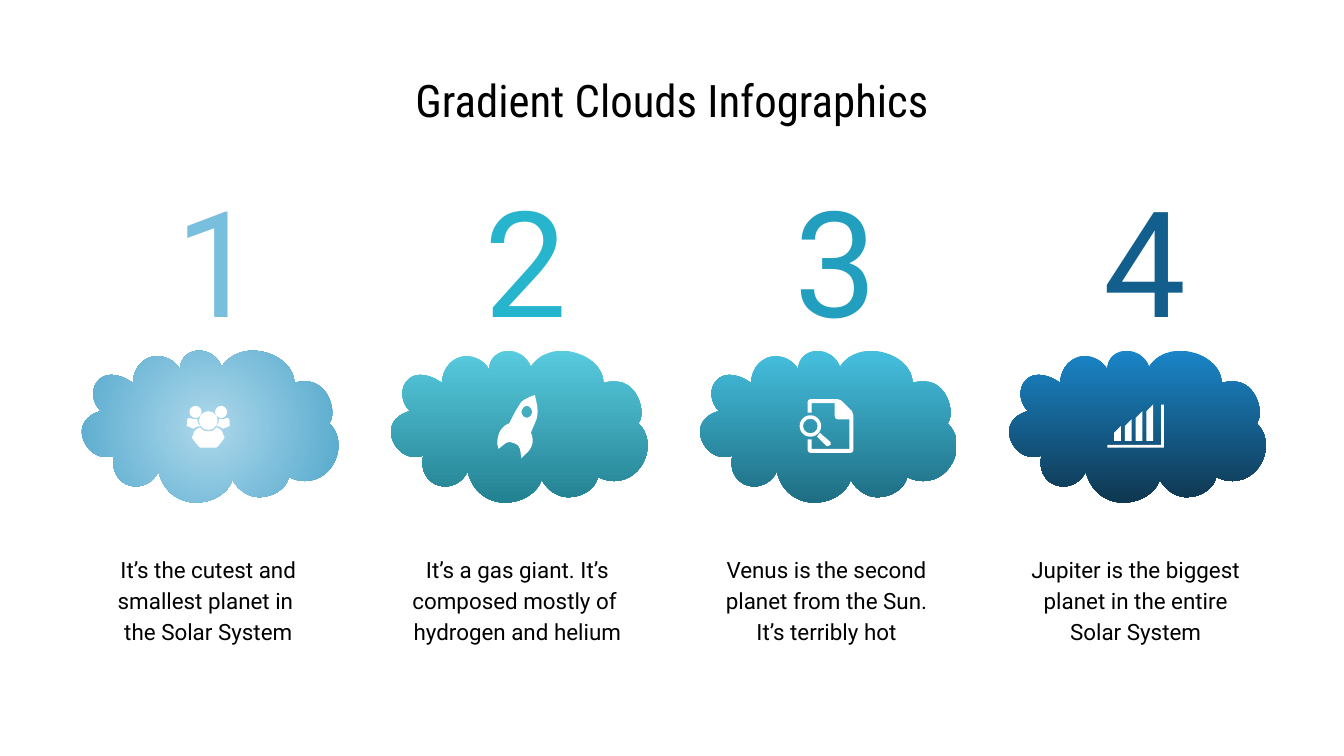
from dataclasses import dataclass

from lxml.etree import SubElement
from pptx import Presentation
from pptx.dml.color import RGBColor
from pptx.enum.shapes import MSO_SHAPE as Preset
from pptx.enum.text import MSO_ANCHOR as Anchor, PP_ALIGN as Align
from pptx.oxml.ns import qn
from pptx.util import Emu, Pt

PX = 9144  # 100 px to the inch
SLIDE_WIDTH = 1000 * PX
SLIDE_HEIGHT = SLIDE_WIDTH * 9 // 16


@dataclass(frozen=True)
class Theme:
    text: str = "000000"
    icon: str = "FFFFFF"
    title_font: str = "Roboto Condensed"
    body_font: str = "Roboto"
    title_size: int = 24
    number_size: int = 79
    body_size: int = 12


@dataclass(frozen=True)
class Box:
    left: int
    top: int
    width: int
    height: int

    def shifted(self, x: int, y: int) -> "Box":
        return Box(self.left + x, self.top + y, self.width, self.height)

    def emu(self) -> list[Emu]:
        return [Emu(v * PX) for v in (self.left, self.top, self.width, self.height)]


@dataclass(frozen=True)
class Round:
    """A round icon part: a disc or a ring."""
    box: Box
    preset: Preset = Preset.OVAL
    ring: float | None = None


@dataclass(frozen=True)
class Column:
    number: str
    color: str
    gradient: tuple[str, str]
    radial: bool
    icon: list[str | Round]
    paragraphs: list[str]


THEME = Theme()
FIRST_LEFT, COLUMN_STEP, CLOUD_TOP = 50, 230, 261

# Outlines are relative to the cloud's corner: M move, L lines, C cubic curves
CLOUD = ("M 98 0 C 91 0 84 5 84 14 80 7 73 4 67 4 58 4 49 12 49 24 43 20 38 18 33 18 "
         "19 18 15 35 25 45 0 52 13 79 28 79 30 79 33 79 35 78 32 92 41 101 51 101 "
         "57 101 64 98 68 90 72 106 84 113 96 113 108 113 120 106 123 96 "
         "128 105 136 109 143 109 153 109 163 103 165 94 169 96 173 97 177 97 "
         "199 97 210 68 195 54 201 47 195 23 178 23 175 23 172 23 169 24 "
         "169 10 153 0 138 0 129 0 120 4 115 12 112 4 105 0 98 0")
PEOPLE = [
    "M 91 50 C 89 50 89 52 89 56 L 94 58 C 95 57 97 56 99 56 98 55 97 54 97 51 95 51 93 51 91 50",
    Round(Box(91, 41, 9, 9)),
    "M 99 57 C 96 58 94 60 94 62 93 63 93 65 93 65 93 65 98 72 99 72 L 111 72 "
    "C 112 72 117 65 117 65 117 65 117 63 116 62 116 60 114 58 111 57 "
    "109 60 107 60 105 60 103 60 101 60 99 57",
    Round(Box(98, 45, 14, 14)),
    Round(Box(110, 41, 9, 9)),
    "M 119 50 C 121 50 121 52 121 56 L 116 58 C 115 57 113 56 111 56 "
    "112 55 113 54 113 51 115 51 117 51 119 50",
]
ROCKET = [
    "M 112 41 C 114 41 116 43 116 46 116 48 114 50 112 50 110 50 108 48 108 46 108 43 110 41 112 41 "
    "M 118 33 C 117 33 110 36 108 38 106 41 104 44 102 48 L 99 54 C 93 56 90 62 90 69 "
    "L 91 73 96 69 C 97 68 98 68 100 68 101 68 102 68 103 69 105 69 106 71 107 73 "
    "L 108 80 111 77 C 116 73 118 67 115 61 L 118 54 C 120 50 120 47 120 44 120 41 118 33 118 33",
]
DOCUMENT = [
    "M 93 36 C 92 36 91 37 91 38 L 91 46 94 46 94 39 111 39 111 48 C 111 50 112 51 113 51 "
    "L 122 51 122 73 94 73 94 66 91 66 91 74 C 91 75 92 76 93 76 L 123 76 "
    "C 124 76 125 75 125 74 L 125 48 C 125 47 125 46 124 45 L 117 38 C 116 37 115 36 113 36",
    Round(Box(85, 48, 16, 16), Preset.DONUT, 0.16),
    "M 100 61 L 98 64 105 71 106 71 108 70 108 68",
]
BAR_TOPS = [56, 51, 45, 40]
CHART = ["M 124 40 L 124 70 84 70 84 72 126 72 126 40"] + [
    f"M {left + 5} {top} L {left} {top + 5} {left} 67 {left + 5} 67"
    for left, top in zip(range(89, 121, 8), BAR_TOPS)
]

COLUMNS = [
    Column("1", "78BFDE", ("ADD8EB", "4BA4CA"), True, PEOPLE,
           ["It’s the cutest and smallest planet in ", "the Solar System"]),
    Column("2", "27B5CE", ("58CBDF", "238191"), False, ROCKET,
           ["It’s a gas giant. It’s composed mostly of ", "hydrogen and helium"]),
    Column("3", "229FBF", ("45BFDE", "1E6E83"), False, DOCUMENT,
           ["Venus is the second planet from the Sun. It’s terribly hot"]),
    Column("4", "125E8D", ("1A85C8", "0F3750"), False, CHART,
           ["Jupiter is the biggest planet in the entire Solar System"]),
]


def add_text(slide, box: Box, paragraphs: list[str], font: str, size: int, color: str,
             anchor: Anchor = Anchor.MIDDLE, spacing: float = 1.0) -> None:
    frame = slide.shapes.add_textbox(*box.emu()).text_frame
    inset = Emu(10 * PX)
    frame_format = {"word_wrap": True, "vertical_anchor": anchor, "margin_left": inset,
                    "margin_right": inset, "margin_top": inset, "margin_bottom": inset}
    for name, value in frame_format.items():
        setattr(frame, name, value)
    for index, text in enumerate(paragraphs):
        paragraph = frame.add_paragraph() if index else frame.paragraphs[0]
        paragraph.alignment, paragraph.line_spacing = Align.CENTER, spacing
        run = paragraph.add_run()
        run.text = text
        for name, value in {"name": font, "size": Pt(size)}.items():
            setattr(run.font, name, value)
        run.font.color.rgb = RGBColor.from_string(color)


def add_outline(slide, outline: str, left: int, top: int):
    """Build the outline from its points, then join each three points of a curve."""
    commands: list[tuple[str, list[int]]] = []
    for token in outline.split():
        if token.isalpha():
            commands.append((token, []))
        else:
            commands[-1][1].append(int(token))
    builder = None
    kinds = []
    for command, numbers in commands:
        points = list(zip(numbers[::2], numbers[1::2]))
        if command != "M":
            builder.add_line_segments(points, close=False)
            kinds += ["C"] * (len(points) // 3) if command == "C" else ["L"] * len(points)
        elif builder is None:
            builder = slide.shapes.build_freeform(*points[0], scale=PX)
        else:
            builder.add_line_segments([], close=True)
            builder.move_to(*points[0])
    builder.add_line_segments([], close=True)
    shape = builder.convert_to_shape(left * PX, top * PX)

    nodes = iter(list(shape._element.iter(qn("a:lnTo"))))
    for kind in kinds:
        node = next(nodes)
        if kind == "C":
            node.tag = qn("a:cubicBezTo")
            for extra in (next(nodes), next(nodes)):
                node.append(extra[0])
                extra.getparent().remove(extra)
    return shape


def finish(shape) -> None:
    shape.shadow.inherit = False
    shape.line.fill.background()


def add_cloud(slide, column: Column, left: int) -> None:
    cloud = add_outline(slide, CLOUD, left, CLOUD_TOP)
    finish(cloud)
    cloud.fill.gradient()
    cloud.fill.gradient_angle = 270
    for stop, color in zip(cloud.fill.gradient_stops, column.gradient):
        stop.color.rgb = RGBColor.from_string(color)
    if column.radial:
        linear = next(cloud._element.iter(qn("a:lin")))
        gradient = linear.getparent()
        gradient.remove(linear)
        circle = SubElement(gradient, qn("a:path"), {"path": "circle"})
        SubElement(circle, qn("a:fillToRect"), dict.fromkeys("ltrb", "50000"))


def add_icon(slide, icon: list[str | Round], left: int) -> None:
    shapes = []
    for part in icon:
        if isinstance(part, Round):
            shape = slide.shapes.add_shape(part.preset, *part.box.shifted(left, CLOUD_TOP).emu())
            if part.ring is not None:
                shape.adjustments[0] = part.ring
        else:
            shape = add_outline(slide, part, left, CLOUD_TOP)
        finish(shape)
        shape.fill.solid()
        shape.fill.fore_color.rgb = RGBColor.from_string(THEME.icon)
        shapes.append(shape)
    if len(shapes) > 1:
        slide.shapes.add_group_shape(shapes)


def main() -> None:
    presentation = Presentation()
    presentation.slide_width, presentation.slide_height = Emu(SLIDE_WIDTH), Emu(SLIDE_HEIGHT)
    slide = presentation.slides.add_slide(presentation.slide_layouts[6])

    # Title
    add_text(slide, Box(50, 44, 900, 63), ["Gradient Clouds Infographics"],
             THEME.title_font, THEME.title_size, THEME.text, Anchor.TOP)

    # Columns: number, cloud with icon, description
    for index, column in enumerate(COLUMNS):
        left = FIRST_LEFT + index * COLUMN_STEP
        add_text(slide, Box(left + 71, 138, 67, 108), [column.number],
                 THEME.body_font, THEME.number_size, column.color)
        add_cloud(slide, column, left)
        add_icon(slide, column.icon, left)
        add_text(slide, Box(left + 14, 404, 182, 83), column.paragraphs,
                 THEME.body_font, THEME.body_size, THEME.text, spacing=1.15)

    presentation.save("out.pptx")


if __name__ == "__main__":
    main()
